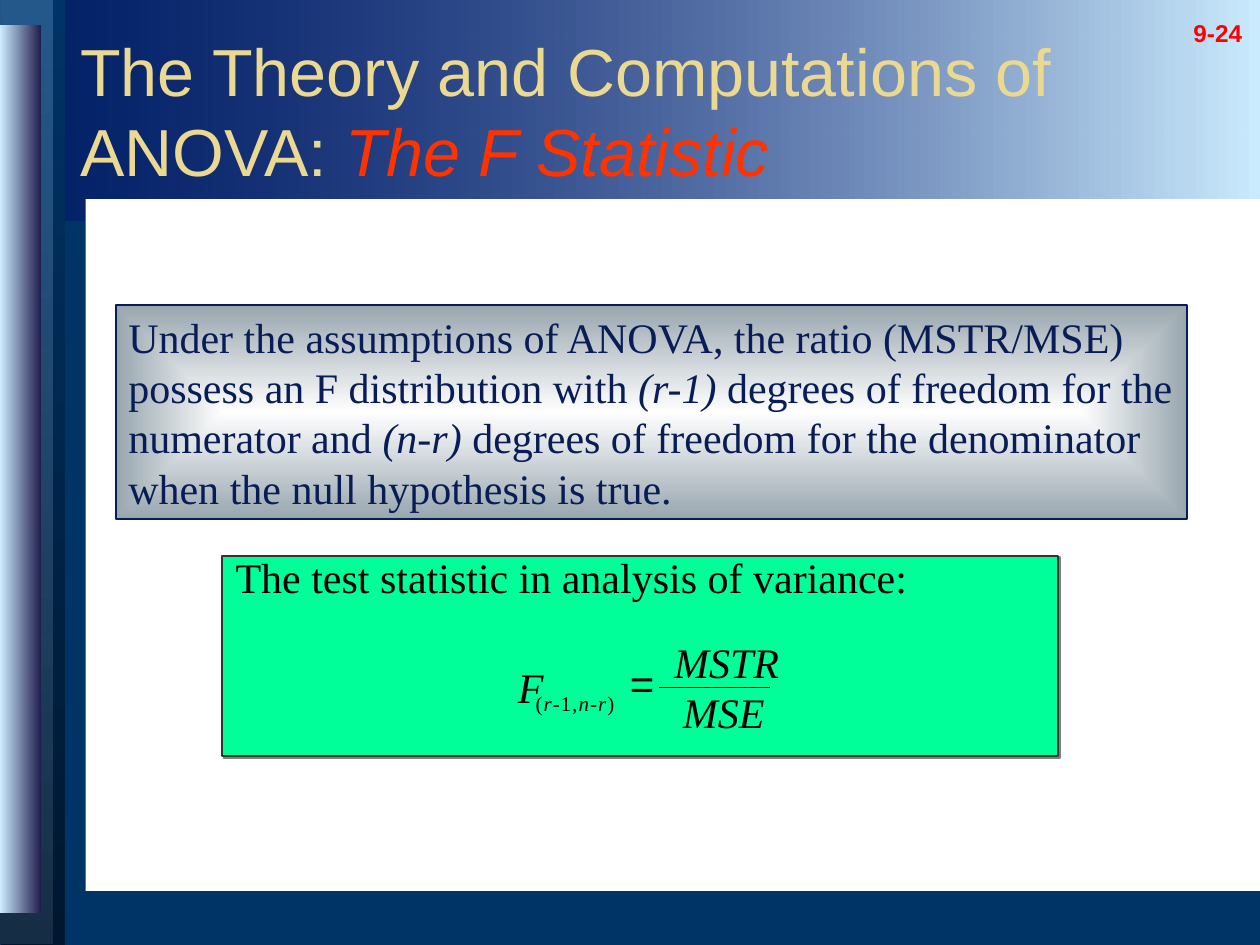
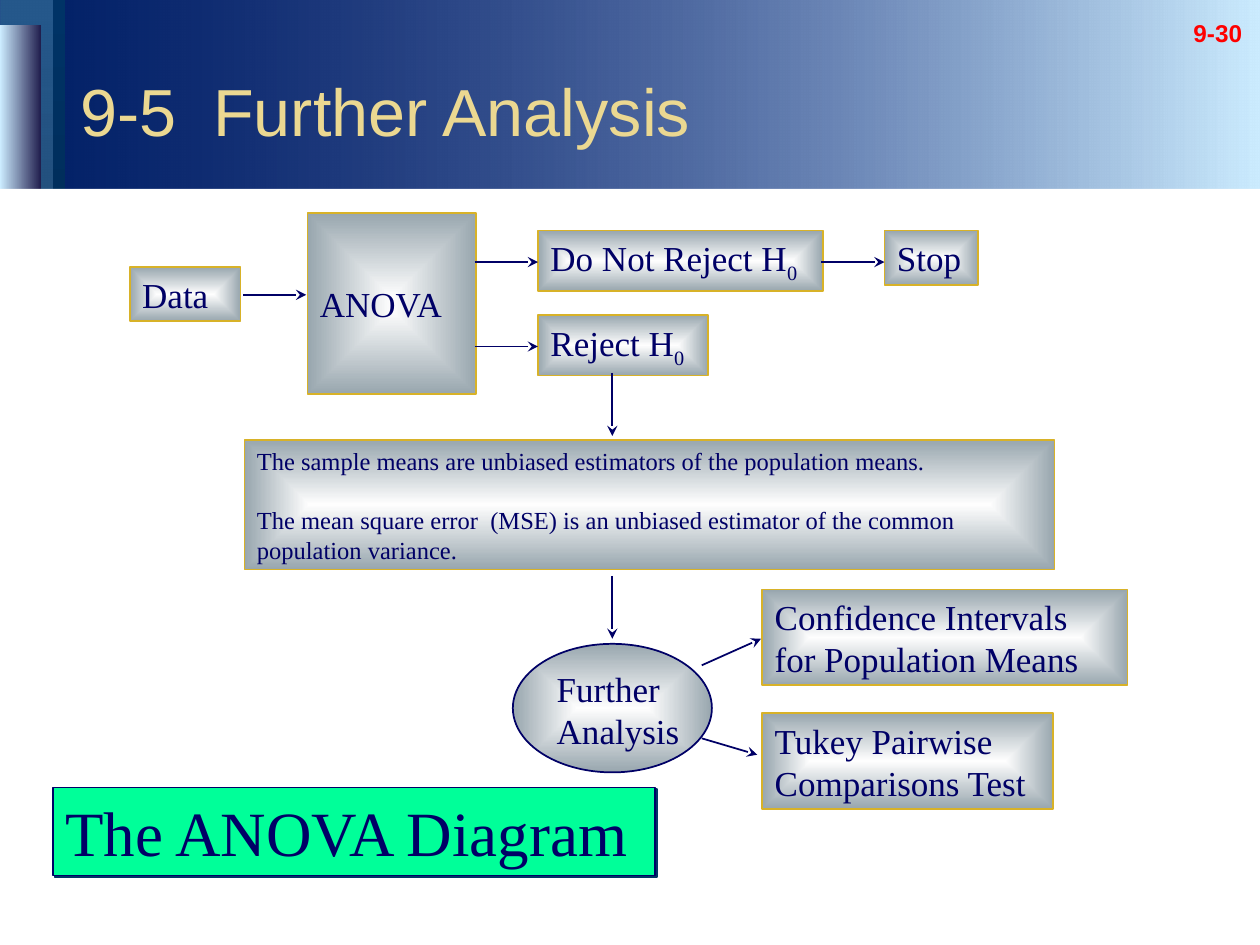
"""Build two ANOVA lecture slides: the F statistic and the further-analysis diagram."""
import pptx
import pptx.dml.color
import pptx.enum.shapes
import pptx.enum.text
import pptx.oxml
import pptx.oxml.ns
import pptx.util

Inches, Pt = pptx.util.Inches, pptx.util.Pt
RGB = pptx.dml.color.RGBColor.from_string
SHAPE = pptx.enum.shapes.MSO_SHAPE
ANCHOR = pptx.enum.text.MSO_ANCHOR
ALIGN = pptx.enum.text.PP_ALIGN
NS = pptx.oxml.ns.nsdecls("a")

SANS, SERIF = "Arial", "Times New Roman"
THEME = {
    "back": "003366", "white": "FFFFFF", "green": "00FF99", "gold": "D8B228",
    "navy": "000066", "ink": "081D58", "charcoal": "333333", "grey": "808080",
    "black": "000000",
    "header": ([("CCECFF", 100), ("000066", 38)], 180),
    "strip": ([("003366", 100), ("00172F", 100)], 90),
    "veil": ([("336699", 73), ("172F46", 100)], 90),
    "bar": ([("1E1B4B", 100), ("CCECFF", 100)], 180),
    "silver": ([("FEFEFE", 100), ("98A6AE", 100)], None),
    "title": {"name": SANS, "size": Pt(38), "color": "EBD891"},
    "accent": {"name": SANS, "size": Pt(38), "color": "FF3300", "italic": True},
    "page": {"name": SANS, "size": Pt(24), "color": "FF0000", "bold": True, "baseline": "-25000"},
    "body": {"name": SERIF, "size": Pt(24), "color": "081D58"},
    "body_i": {"name": SERIF, "size": Pt(24), "color": "081D58", "italic": True},
    "math": {"name": SERIF, "size": Pt(24), "color": "000000"},
    "math_i": {"name": SERIF, "size": Pt(24), "color": "000000", "italic": True},
    "equals": {"name": SANS, "size": Pt(24), "color": "000000"},
    "index": {"name": SERIF, "size": Pt(12), "color": "000000", "spc": "60"},
    "index_i": {"name": SERIF, "size": Pt(12), "color": "000000", "spc": "60", "italic": True},
    "node": {"name": SERIF, "size": Pt(20), "color": "000066"},
    "node_sub": {"name": SERIF, "size": Pt(20), "color": "000066", "baseline": "-25000"},
    "note": {"name": SERIF, "size": Pt(14), "color": "000066"},
    "banner": {"name": SERIF, "size": Pt(36), "color": "000066"},
}


def add_box(s, at, paras=(), fill=None, line=None, shadow=None, kind=SHAPE.RECTANGLE,
            inset=True, anchor=ANCHOR.TOP, align=ALIGN.LEFT, gap=0):
    at = [Inches(v) for v in at]
    if fill:
        sp = s.shapes.add_shape(kind, *at)
        sp.shadow.inherit = False
        sp_pr = sp._element.spPr
        if isinstance(THEME[fill], str):
            sp.fill.solid()
            sp.fill.fore_color.rgb = RGB(THEME[fill])
        else:
            colors, angle = THEME[fill]
            stops = "".join(
                f'<a:gs pos="{i * 100000}"><a:srgbClr val="{c}"><a:alpha val="{a * 1000}"/></a:srgbClr></a:gs>'
                for i, (c, a) in enumerate(colors))
            course = (f'<a:lin ang="{angle * 60000}" scaled="0"/>' if angle else
                      '<a:path path="rect"><a:fillToRect l="50000" t="50000" r="50000" b="50000"/></a:path>')
            sp.fill.background()
            sp_pr.replace(sp_pr.find(pptx.oxml.ns.qn("a:noFill")), pptx.oxml.parse_xml(
                f'<a:gradFill {NS} rotWithShape="1"><a:gsLst>{stops}</a:gsLst>{course}</a:gradFill>'))
        if line:
            sp.line.color.rgb = RGB(THEME[line])
            sp.line.width = Pt(1)
        else:
            sp.line.fill.background()
        if shadow:
            sp_pr.find(pptx.oxml.ns.qn("a:effectLst")).append(pptx.oxml.parse_xml(
                f'<a:outerShdw {NS} dist="17780" dir="2700000" algn="ctr" rotWithShape="0">'
                f'<a:srgbClr val="{THEME[shadow]}"/></a:outerShdw>'))
    else:
        sp = s.shapes.add_textbox(*at)
    tf = sp.text_frame
    tf.word_wrap, tf.vertical_anchor = True, anchor
    if not inset:
        tf.margin_left = tf.margin_right = tf.margin_top = tf.margin_bottom = 0
    for i, runs in enumerate(paras):
        p = tf.add_paragraph() if i else tf.paragraphs[0]
        p.alignment = align
        if i:
            p.space_before = Pt(gap)
        for text, style in runs:
            r = p.add_run()
            r.text = text
            for key, value in THEME[style].items():
                if key == "color":
                    r.font.color.rgb = RGB(value)
                elif key in ("baseline", "spc"):
                    r._r.get_or_add_rPr().set(key, value)
                else:
                    setattr(r.font, key, value)


def add_line(s, start, end, color="navy", width=1, arrow=True):
    ln = s.shapes.add_connector(pptx.enum.shapes.MSO_CONNECTOR.STRAIGHT,
                                *[Inches(v) for v in start + end])
    ln.line.color.rgb = RGB(THEME[color])
    ln.line.width = Pt(width)
    if arrow:
        ln.line._get_or_add_ln().append(pptx.oxml.parse_xml(f'<a:tailEnd {NS} type="stealth"/>'))
    ln._element.spPr.append(pptx.oxml.parse_xml(f"<a:effectLst {NS}/>"))


prs = pptx.Presentation()
prs.slide_width, prs.slide_height = Inches(10), Inches(7.5)

BANDS = [
    ((0, 0, 10, 1.75), "header"),
    ((0.01, 0, 0.51, 7.5), "strip"),
    ((-0.02, -0.01, 0.44, 7.5), "veil"),
    ((0, 0.2, 0.33, 7.05), "bar"),
    ((0.68, 1.58, 9.32, 5.49), "white"),
]
PAGES = [
    ("9-24", [("The Theory and Computations of ANOVA: ", "title"), ("The F Statistic", "accent")], []),
    ("9-30", [("9-5  Further Analysis", "title")], [((0, 1.5, 10, 6), "white")]),
]
for number, title, cover in PAGES:
    s = prs.slides.add_slide(prs.slide_layouts[6])
    s.background.fill.solid()
    s.background.fill.fore_color.rgb = RGB(THEME["back"])
    for at, fill in BANDS + cover:
        add_box(s, at, fill=fill)
    add_box(s, (9.29, -0.13, 0.75, 0.56), [[(number, "page")]], align=ALIGN.CENTER)
    add_box(s, (0.54, 0.25, 9.27, 1.25), [title], anchor=ANCHOR.MIDDLE)

statistic, diagram = prs.slides

add_box(statistic, (1.76, 4.41, 6.64, 1.59), fill="green", line="charcoal", shadow="grey")
add_box(statistic, (0.92, 2.42, 8.5, 1.7), [[
    ("Under the assumptions of ANOVA, the ratio (MSTR/MSE) possess an F distribution with ", "body"),
    ("(r-1) ", "body_i"),
    ("degrees of freedom for the numerator and ", "body"),
    ("(n-r) ", "body_i"),
    ("degrees of freedom for the denominator when the null hypothesis is true.", "body"),
]], fill="silver", line="ink")

add_line(statistic, (5.23, 5.46), (6.11, 5.46), color="black", width=0.5, arrow=False)
FORMULA = [
    ((1.87, 4.38, 6, 0.4), [("The test statistic in analysis of variance:", "math")]),
    ((4.11, 5.25, 0.3, 0.4), [("F", "math_i")]),
    ((4.25, 5.48, 0.75, 0.2), [("(", "index"), ("r", "index_i"), ("-1,", "index"), ("n", "index_i"),
                               ("-", "index"), ("r", "index_i"), (")", "index")]),
    ((5, 5.22, 0.3, 0.4), [("=", "equals")]),
    ((5.35, 5.05, 1.1, 0.4), [("MSTR", "math_i")]),
    ((5.42, 5.45, 0.9, 0.4), [("MSE", "math_i")]),
]
for at, runs in FORMULA:
    add_box(statistic, at, [runs], inset=False)

add_box(diagram, (4.07, 5.11, 1.58, 1.02), fill="silver", line="navy", kind=SHAPE.OVAL)
add_box(diagram, (4.32, 5.25, 1.34, 0.76), [[("Further Analysis", "node")]])
NODES = [
    ((1.03, 2.12, 0.88, 0.43), [("Data", "node")], ANCHOR.TOP),
    ((2.44, 1.69, 1.34, 1.44), [("ANOVA", "node")], ANCHOR.MIDDLE),
    ((4.27, 1.83, 2.26, 0.48), [("Do Not Reject H", "node"), ("0", "node_sub")], ANCHOR.TOP),
    ((7.02, 1.83, 0.74, 0.43), [("Stop", "node")], ANCHOR.TOP),
    ((4.27, 2.5, 1.35, 0.48), [("Reject H", "node"), ("0", "node_sub")], ANCHOR.TOP),
    ((6.05, 4.68, 2.9, 0.76), [("Confidence Intervals for Population Means", "node")], ANCHOR.TOP),
    ((6.05, 5.66, 2.31, 0.76), [("Tukey Pairwise Comparisons Test", "node")], ANCHOR.TOP),
]
for at, runs, anchor in NODES:
    add_box(diagram, at, [runs], fill="silver", line="gold", anchor=anchor)
add_box(diagram, (1.94, 3.49, 6.43, 1.03), [
    [("The sample means are unbiased estimators of the population means.", "note")],
    [("The mean square error  (MSE) is an unbiased estimator of the common population variance.", "note")],
], fill="silver", line="gold", gap=17)

ARROWS = [
    ((1.93, 2.34), (2.43, 2.34)),
    ((3.77, 2.08), (4.27, 2.08)),
    ((6.52, 2.08), (7.02, 2.08)),
    ((3.77, 2.75), (4.27, 2.75)),
    ((4.86, 2.96), (4.86, 3.46)),
    ((4.86, 4.57), (4.86, 5.07)),
    ((5.57, 5.28), (6.04, 5.07)),
    ((5.57, 5.86), (6.01, 5.99)),
]
for start, end in ARROWS:
    add_line(diagram, start, end)

add_box(diagram, (0.42, 6.25, 4.78, 0.7), [[("The ANOVA Diagram", "banner")]],
        fill="green", line="navy", shadow="back")

prs.save("out.pptx")
